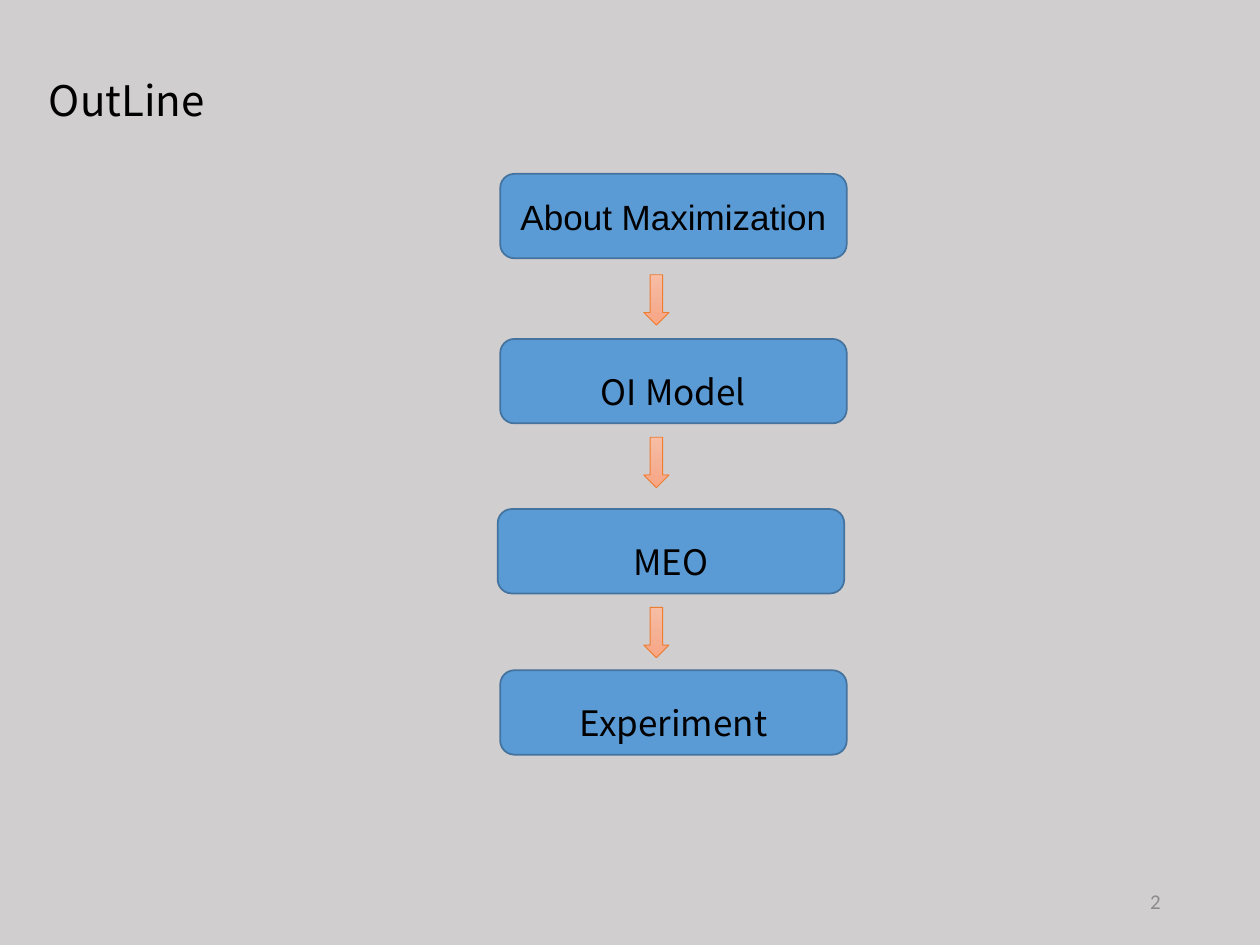
from copy import deepcopy

from pptx import Presentation
from pptx.dml.color import RGBColor
from pptx.enum.shapes import MSO_SHAPE
from pptx.enum.text import MSO_ANCHOR, MSO_AUTO_SIZE, PP_ALIGN
from pptx.util import Inches, Pt

WIDTH, HEIGHT = Inches(10), Inches(7.5)
SANS = "Noto Sans CJK SC"
STEPS = [
    ("About Maximization", 39.7, 18.4, "Arial", 1),
    ("OI Model", 39.7, 35.87, SANS, 1.5),
    ("MEO", 39.5, 53.87, SANS, 1.5),
    ("Experiment", 39.7, 70.93, SANS, 1.5),
]
ARROW_TOPS = [29.07, 46.27, 64.27]
ARROW_STOPS = [(0, "F7BDA5"), (0.5, "F5B196"), (1, "F8A582")]


def rgb(value):
    """Return the colour of a hex string."""
    return RGBColor.from_string(value)


def box(left, top, width, height):
    """Turn percentages of the slide's size into lengths."""
    return [round(share * size / 100) for share, size in
            zip((left, top, width, height), (WIDTH, HEIGHT) * 2)]


def write(sp, text, size=20, font=SANS, color="000000", align=PP_ALIGN.LEFT,
          anchor=MSO_ANCHOR.MIDDLE, spacing=1, wrap=True):
    """Put one formatted paragraph into a shape."""
    tf = sp.text_frame
    tf.word_wrap = wrap
    tf.vertical_anchor = anchor
    p = tf.paragraphs[0]
    p.alignment = align
    p.line_spacing = spacing
    r = p.add_run()
    r.text = text
    r.font.size = Pt(size)
    r.font.name = font
    r.font.color.rgb = rgb(color)
    return tf


def add_preset(s, preset, place, line, weight):
    """Add an outlined preset shape without shadow."""
    sp = s.shapes.add_shape(preset, *box(*place))
    sp.shadow.inherit = False
    sp.line.color.rgb = rgb(line)
    sp.line.width = Pt(weight)
    return sp


def add_step(s, text, left, top, font, spacing):
    """Add a rounded step box with its label."""
    sp = add_preset(s, MSO_SHAPE.ROUNDED_RECTANGLE, (left, top, 27.5, 8.93),
                    "43739E", 1)
    sp.fill.solid()
    sp.fill.fore_color.rgb = rgb("5B9BD5")
    write(sp, text, font=font, align=PP_ALIGN.CENTER, spacing=spacing)


def add_arrow(s, top):
    """Add a down arrow with a vertical gradient."""
    sp = add_preset(s, MSO_SHAPE.DOWN_ARROW, (51.1, top, 2, 5.33), "ED7D31", 0.5)
    sp.fill.gradient()
    sp.fill.gradient_angle = 270
    first = sp._element.xpath(".//a:gs")[0]
    first.addnext(deepcopy(first))
    for stop, (position, color) in zip(sp.fill.gradient_stops, ARROW_STOPS):
        stop.position = position
        stop.color.rgb = rgb(color)


def main():
    """Build the outline slide."""
    prs = Presentation()
    prs.slide_width, prs.slide_height = WIDTH, HEIGHT
    s = prs.slides.add_slide(prs.slide_layouts[6])
    s.background.fill.solid()
    s.background.fill.fore_color.rgb = rgb("D0CECE")

    title = s.shapes.add_textbox(*box(2.9, 7.2, 14.7, 6.67))
    tf = write(title, "OutLine", size=24, anchor=MSO_ANCHOR.TOP, wrap=False)
    tf.auto_size = MSO_AUTO_SIZE.SHAPE_TO_FIT_TEXT
    for step in STEPS:
        add_step(s, *step)
    for top in ARROW_TOPS:
        add_arrow(s, top)
    number = s.shapes.add_textbox(*box(70.6, 92.67, 22.5, 5.33))
    write(number, "2", size=12, font="Calibri", color="8C8C8C",
          align=PP_ALIGN.RIGHT)
    prs.save("out.pptx")


main()
